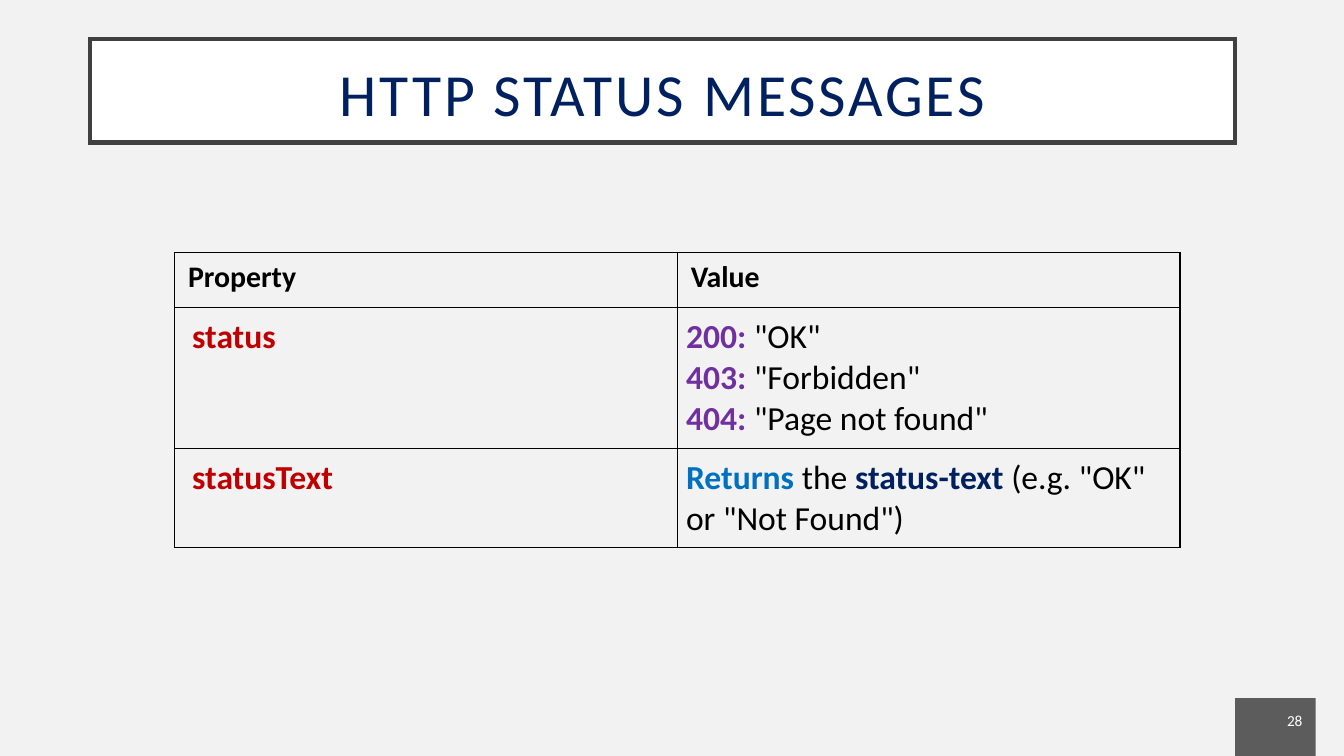
"""Build the HTTP status messages slide."""
from dataclasses import dataclass

from lxml.etree import SubElement
from pptx import Presentation
from pptx.dml.color import RGBColor
from pptx.enum.shapes import MSO_SHAPE as Shape
from pptx.enum.text import MSO_ANCHOR as Anchor, MSO_AUTO_SIZE as AutoSize, PP_ALIGN as Align
from pptx.oxml.ns import qn
from pptx.util import Emu, Pt

PX_PER_INCH = 200
EMU_PER_PX = 914400 // PX_PER_INCH


@dataclass(frozen=True)
class Theme:
    font: str = "Calibri"
    background: str = "F2F2F2"
    white: str = "FFFFFF"
    black: str = "000000"
    frame: str = "404040"
    badge: str = "1D1D1D"
    navy: str = "002060"
    red: str = "C00000"
    purple: str = "7030A0"
    blue: str = "0070C0"
    title_size: float = 32
    header_size: float = 16
    body_size: float = 18
    number_size: float = 8.2


THEME = Theme()


@dataclass(frozen=True)
class Area:
    left: int
    top: int
    width: int
    height: int

    def emu(self) -> tuple:
        return tuple(px(side) for side in (self.left, self.top, self.width, self.height))


@dataclass(frozen=True)
class Span:
    text: str
    color: str = THEME.black
    bold: bool = False


@dataclass(frozen=True)
class CellText:
    lines: tuple
    size: float = THEME.body_size
    margins: tuple = (13, 13, 13, 13)


def px(length: int) -> Emu:
    return Emu(length * EMU_PER_PX)


def rgb(color: str) -> RGBColor:
    return RGBColor.from_string(color)


def set_font(font, size: float, color: str) -> None:
    font.name, font.size = THEME.font, Pt(size)
    font.color.rgb = rgb(color)


def set_margins(box, margins: tuple) -> None:
    box.margin_left, box.margin_top, box.margin_right, box.margin_bottom = map(px, margins)


def header(text: str) -> CellText:
    return CellText(((Span(text, bold=True),),), THEME.header_size, (20, 10, 20, 10))


def property_name(text: str) -> CellText:
    return CellText(((Span(text, THEME.red, True),),), margins=(26, 13, 13, 13))


def code_line(code: int, message: str) -> tuple:
    return Span(f"{code}:", THEME.purple, True), Span(f' "{message}"')


def draw_title(page, area: Area, text: str) -> None:
    title = page.shapes.title
    title.left, title.top, title.width, title.height = area.emu()
    title.fill.solid()
    title.fill.fore_color.rgb = rgb(THEME.white)
    title.line.color.rgb = rgb(THEME.frame)
    title.line.width = Pt(2.5)
    SubElement(title._element.spPr.find(qn("a:ln")), qn("a:miter"), lim="800000")
    frame = title.text_frame
    frame.text = text
    frame.auto_size = AutoSize.NONE
    frame.vertical_anchor = Anchor.BOTTOM
    set_margins(frame, (20,) * 4)
    para = frame.paragraphs[0]
    para.alignment, para.line_spacing = Align.CENTER, 0.9
    set_font(para.font, THEME.title_size, THEME.navy)
    para.runs[0].font._element.set("spc", "150")


def draw_page_number(page, area: Area, number: int) -> None:
    box = page.shapes.add_shape(Shape.RECTANGLE, *area.emu())
    box.shadow.inherit = False
    box.line.fill.background()
    box.fill.solid()
    box.fill.fore_color.rgb = rgb(THEME.badge)
    color = box._element.spPr.find(qn("a:solidFill"))[0]
    SubElement(color, qn("a:alpha"), val="70000")
    frame = box.text_frame
    frame.text = str(number)
    frame.vertical_anchor = Anchor.TOP
    set_margins(frame, (20,) * 4)
    para = frame.paragraphs[0]
    para.alignment = Align.RIGHT
    set_font(para.font, THEME.number_size, THEME.white)


def draw_borders(cell) -> None:
    properties = cell._tc.get_or_add_tcPr()
    for side in ("a:lnL", "a:lnR", "a:lnT", "a:lnB"):
        line = SubElement(properties, qn(side), w=str(Pt(0.75)))
        SubElement(SubElement(line, qn("a:solidFill")), qn("a:srgbClr"), val=THEME.black)


def fill_cell(cell, content: CellText) -> None:
    draw_borders(cell)
    cell.fill.background()
    set_margins(cell, content.margins)
    para = cell.text_frame.paragraphs[0]
    for index, line in enumerate(content.lines):
        if index:
            para.add_line_break()
        for span in line:
            run = para.add_run()
            run.text = span.text
            set_font(run.font, content.size, span.color)
            run.font.bold = span.bold
    para.font.name, para.font.size = THEME.font, Pt(content.size)


def draw_table(page, area: Area, row_height: int, rows: tuple) -> None:
    frame = page.shapes.add_table(len(rows), len(rows[0]), *area.emu())
    table = frame.table
    table.first_row = table.horz_banding = False
    for row, contents in zip(table.rows, rows):
        row.height = px(row_height)
        for cell, content in zip(row.cells, contents):
            fill_cell(cell, content)
    frame.height = px(area.height)


def main() -> None:
    deck = Presentation()
    deck.slide_width, deck.slide_height = px(2000), px(1125)
    page = deck.slides.add_slide(deck.slide_layouts.get_by_name("Title Only"))
    page.background.fill.solid()
    page.background.fill.fore_color.rgb = rgb(THEME.background)

    status_codes = CellText((
        code_line(200, "OK"),
        code_line(403, "Forbidden"),
        code_line(404, "Page not found"),
    ))
    status_text = CellText(((
        Span("Returns", THEME.blue, True),
        Span(" the "),
        Span("status-text", THEME.navy, True),
        Span(' (e.g. "OK" or "Not Found")'),
    ),))
    rows = (
        (header("Property"), header("Value")),
        (property_name("status"), status_codes),
        (property_name("statusText"), status_text),
    )
    draw_title(page, Area(134, 58, 1704, 154), "HTTP STATUS MESSAGES")
    draw_page_number(page, Area(1838, 1039, 120, 86), 28)
    draw_table(page, Area(260, 376, 1496, 360), 82, rows)
    deck.save("out.pptx")


if __name__ == "__main__":
    main()
